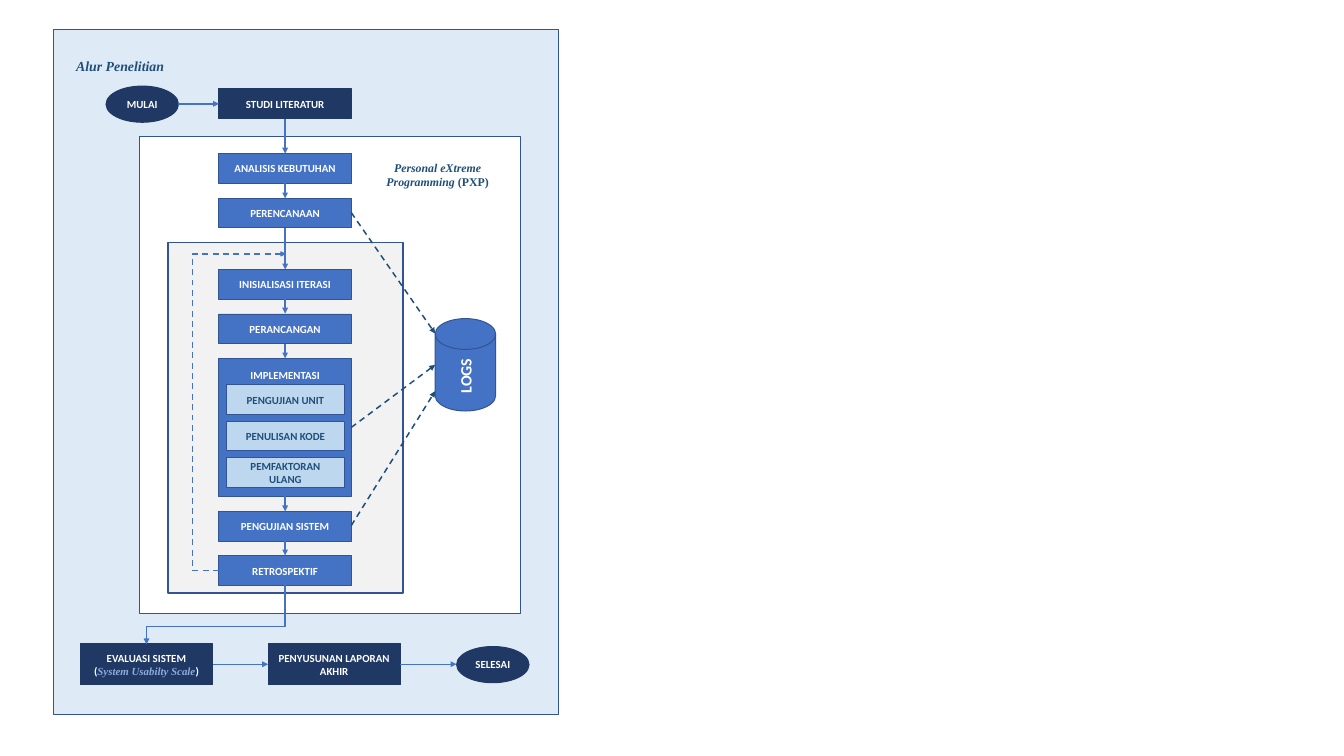
from lxml.etree import SubElement
from pptx import Presentation
from pptx.dml.color import RGBColor
from pptx.enum.dml import MSO_LINE
from pptx.enum.shapes import MSO_CONNECTOR, MSO_SHAPE
from pptx.enum.text import MSO_ANCHOR, MSO_AUTO_SIZE, PP_ALIGN
from pptx.oxml.ns import qn
from pptx.util import Inches, Pt

SANS, SERIF = "Calibri", "Times New Roman"
THEME = {
    "color": {
        "pale": "DEEBF7", "white": "FFFFFF", "gray": "F2F2F2", "light": "BDD7EE",
        "blue": "4472C4", "edge": "325491", "navy": "203864", "ink": "1F4E79",
        "soft": "8FAADC",
    },
    "text": {
        "step": ("white", {"name": SANS, "size": Pt(11), "bold": True}),
        "part": ("ink", {"name": SANS, "size": Pt(11), "bold": True}),
        "scale": ("soft", {"name": SERIF, "size": Pt(11), "bold": True, "italic": True}),
        "title": ("ink", {"name": SERIF, "size": Pt(14), "bold": True, "italic": True}),
        "method": ("ink", {"name": SERIF, "size": Pt(12), "bold": True, "italic": True}),
        "short": ("ink", {"name": SERIF, "size": Pt(12), "bold": True}),
        "logs": ("white", {"name": SANS, "size": Pt(16), "bold": True}),
    },
}
COLOR = {name: RGBColor.from_string(code) for name, code in THEME["color"].items()}


def write(shape, lines, anchor, align=PP_ALIGN.CENTER):
    frame = shape.text_frame
    layout = {"word_wrap": True, "auto_size": MSO_AUTO_SIZE.NONE, "vertical_anchor": anchor}
    for key, value in layout.items():
        setattr(frame, key, value)
    for row, runs in enumerate(lines):
        para = frame.add_paragraph() if row else frame.paragraphs[0]
        para.alignment = align
        for text, style in runs:
            run = para.add_run()
            run.text = text
            tone, looks = THEME["text"][style]
            run.font.color.rgb = COLOR[tone]
            for key, value in looks.items():
                setattr(run.font, key, value)


def link(ends, tone="blue", dash=False, head=True, bend=None):
    kind = MSO_CONNECTOR.STRAIGHT if bend is None else MSO_CONNECTOR.ELBOW
    wire = slide.shapes.add_connector(kind, *map(Inches, ends))
    wire.line.color.rgb = COLOR[tone]
    wire.line.width = Pt(1.5)
    if dash:
        wire.line.dash_style = MSO_LINE.DASH
    if head:
        SubElement(wire.line._get_or_add_ln(), qn("a:tailEnd"), type="triangle")
    props = wire.element.spPr
    SubElement(props, qn("a:effectLst"))
    if bend is not None:
        guides = props.find(qn("a:prstGeom")).find(qn("a:avLst"))
        SubElement(guides, qn("a:gd"), name="adj1", fmla=f"val {bend}")
    return wire


deck = Presentation()
deck.slide_width, deck.slide_height = Inches(18.9), Inches(10.63)
slide = deck.slides.add_slide(deck.slide_layouts[5])

RECT, OVAL = MSO_SHAPE.RECTANGLE, MSO_SHAPE.OVAL
LEFT, WIDE, HIGH, MID = 3.08, 1.86, 0.42, 4.01
RIGHT = LEFT + WIDE

frames = [
    (RECT, (0.75, 0.42, 7.1, 9.62), "pale", "edge", 1, []),
    (RECT, (1.96, 1.92, 5.36, 6.71), "white", "edge", 1.5, []),
    (RECT, (2.36, 3.41, 3.31, 4.93), "gray", "edge", 1.5, []),
    (RECT, (LEFT, 5.04, WIDE, 1.94), "blue", "edge", 1, []),
    (MSO_SHAPE.FLOWCHART_MAGNETIC_DISK, (6.12, 4.48, 0.85, 1.3), "blue", "edge", 1, []),
]
outer = [
    (kind, at, "navy", "navy", 1, lines)
    for kind, at, lines in [
        (OVAL, (1.49, 1.21, 1.02, 0.51), [[("MULAI", "step")]]),
        (RECT, (LEFT, 1.25, WIDE, HIGH), [[("STUDI LITERATUR", "step")]]),
        (RECT, (1.13, 9.05, WIDE, 0.58), [
            [("EVALUASI SISTEM", "step")],
            [("(", "step"), ("System Usabilty Scale", "scale"), (")", "step")],
        ]),
        (RECT, (3.77, 9.05, WIDE, 0.58), [[("PENYUSUNAN LAPORAN AKHIR", "step")]]),
        (OVAL, (6.42, 9.09, 1.02, 0.51), [[("SELESAI", "step")]]),
    ]
]
pairs = [
    (2.16, ("ANALISIS KEBUTUHAN", "PERENCANAAN")),
    (3.79, ("INISIALISASI ITERASI", "PERANCANGAN")),
    (7.19, ("PENGUJIAN SISTEM", "RETROSPEKTIF")),
]
steps = [
    (RECT, (LEFT, top + 0.625 * row, WIDE, HIGH), "blue", "edge", 1, [[(name, "step")]])
    for top, names in pairs
    for row, name in enumerate(names)
]
parts = [
    (RECT, (3.18, 5.41 + 0.51 * row, 1.67, HIGH), "light", "edge", 1, [[(name, "part")]])
    for row, name in enumerate(("PENGUJIAN UNIT", "PENULISAN KODE", "PEMFAKTORAN ULANG"))
]
for kind, at, fill, edge, width, lines in frames + outer + steps + parts:
    box = slide.shapes.add_shape(kind, *map(Inches, at))
    box.shadow.inherit = False
    box.fill.solid()
    box.fill.fore_color.rgb = COLOR[fill]
    box.line.color.rgb = COLOR[edge]
    box.line.width = Pt(width)
    write(box, lines, MSO_ANCHOR.MIDDLE)

title = slide.shapes.title
place = {"left": 0.97, "top": 0.76, "width": 2.11, "height": 0.34}
for key, value in place.items():
    setattr(title, key, Inches(value))
write(title, [[("Alur Penelitian", "title")]], MSO_ANCHOR.TOP, PP_ALIGN.LEFT)
slide.shapes[1].element.addnext(title.element)

labels = [
    ((3.37, 5.13, 1.28, 0.29), 0, [("IMPLEMENTASI", "step")]),
    ((5.07, 2.21, 2.17, 0.5), 0, [("Personal eXtreme Programming ", "method"), ("(PXP)", "short")]),
    ((6.17, 5.1, 0.75, 0.37), 270, [("LOGS", "logs")]),
]
for at, turn, runs in labels:
    label = slide.shapes.add_textbox(*map(Inches, at))
    label.rotation = turn
    write(label, [runs], MSO_ANCHOR.TOP)

downs = [(1.67, 2.16), (2.58, 2.79), (3.2, 3.79), (4.2, 4.41), (4.83, 5.04), (6.98, 7.19), (7.6, 7.81)]
for start, end in downs:
    link((MID, start, MID, end))
for start, end, level in [(2.5, 3.08, 1.46), (2.99, 3.77, 9.34), (5.63, 6.42, 9.34)]:
    link((start, level, end, level))
for start, end in [(2.99, 4.69), (6.01, 5.13), (7.39, 5.5)]:
    link((RIGHT, start, 6.12, end), tone="ink", dash=True)

link((LEFT, 8.02, 3.95, 3.57), dash=True, head=False, bend=-43200)
tip = slide.shapes.add_shape(MSO_SHAPE.ISOSCELES_TRIANGLE, *map(Inches, (3.95, 3.54, 0.06, 0.06)))
tip.rotation = 90
tip.shadow.inherit = False
tip.fill.solid()
tip.fill.fore_color.rgb = COLOR["blue"]
tip.line.color.rgb = COLOR["blue"]
tip.line.width = Pt(1)

exit_link = link((2.62, 7.67, 3.45, 9.62), bend=69900)
exit_link.element.spPr.find(qn("a:xfrm")).set("rot", "5400000")

deck.save("out.pptx")
